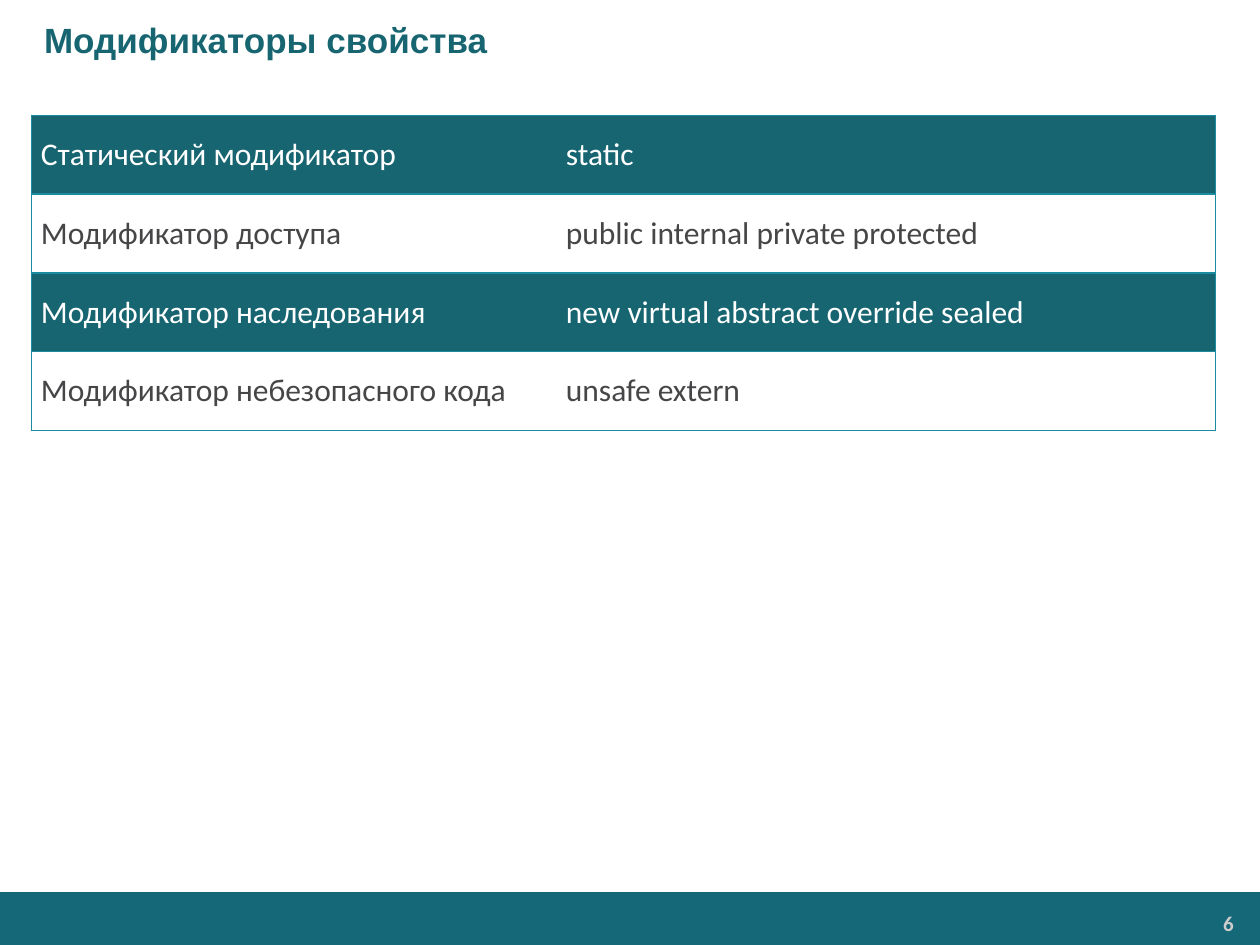
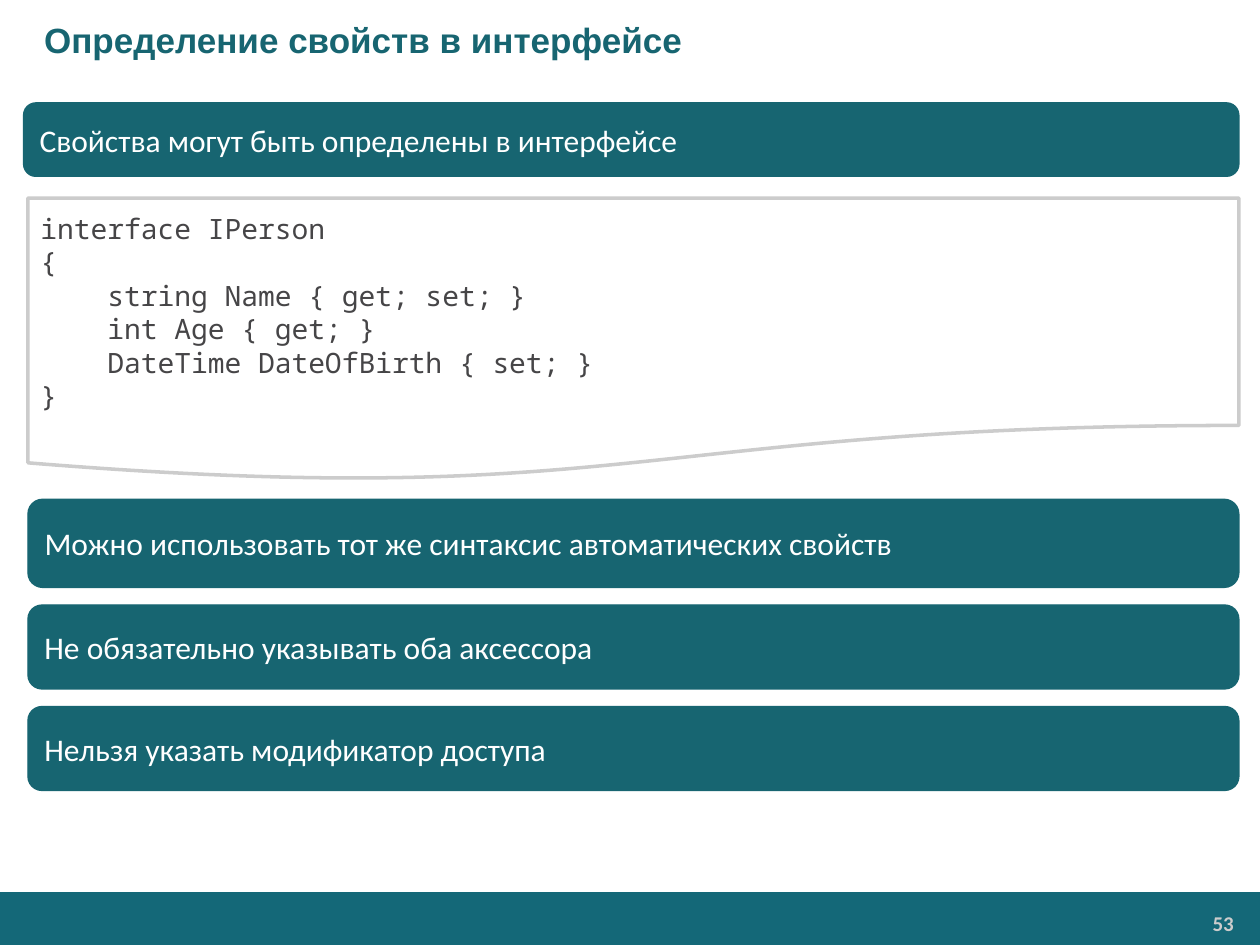
from dataclasses import dataclass

from lxml import etree
from pptx import Presentation
from pptx import util as u
from pptx.dml import color
from pptx.enum import shapes, text
from pptx.oxml import ns

# Content
MODIFIERS = {
    "title": "Модификаторы свойства",
    "page": "6",
    "rows": [
        ("Статический модификатор", "static"),
        ("Модификатор доступа", "public internal private protected"),
        ("Модификатор наследования", "new virtual abstract override sealed"),
        ("Модификатор небезопасного кода", "unsafe extern"),
    ],
}
INTERFACE = {
    "title": "Определение свойств в интерфейсе",
    "page": "53",
    "lead": "Свойства могут быть определены в интерфейсе",
    "code": [
        "interface IPerson",
        "{",
        "    string Name { get; set; }",
        "    int Age { get; }",
        "    DateTime DateOfBirth { set; }",
        "}",
    ],
    # statement, height of its bar, alignment
    "rules": [
        ("Можно использовать тот же синтаксис автоматических свойств", 50.4, "JUSTIFY"),
        ("Не обязательно указывать оба аксессора", 48, "LEFT"),
        ("Нельзя указать модификатор доступа", 48, "LEFT"),
    ],
}


@dataclass(frozen=True)
class Theme:
    teal: str = "176571"
    band: str = "146878"
    border: str = "1B8BA0"
    white: str = "FFFFFF"
    ink: str = "464547"
    grey: str = "CCCCCC"
    heading_font: str = "Arial"
    body_font: str = "Calibri"
    code_font: str = "Noto Sans Mono"
    title_size: int = 20
    body_size: int = 18
    code_size: int = 16
    page_size: int = 12


THEME = Theme()
WIDTH, HEIGHT = 720, 540
BODY = {"name": THEME.body_font, "size": THEME.body_size}


def rgb(value):
    return color.RGBColor.from_string(value)


def assign(target, formats):
    for attribute, value in formats.items():
        setattr(target, attribute, value)


def points(*lengths):
    return [u.Pt(length) for length in lengths]


def write(frame, lines, ink, font, align="LEFT", **frame_formats):
    defaults = {"word_wrap": True, "vertical_anchor": text.MSO_ANCHOR.MIDDLE}
    assign(frame, {**defaults, **frame_formats})
    for number, line in enumerate(lines):
        paragraph = frame.paragraphs[0] if number == 0 else frame.add_paragraph()
        paragraph.alignment = getattr(text.PP_ALIGN, align)
        run = paragraph.add_run()
        run.text = line
        assign(run.font, {**font, "size": u.Pt(font["size"])})
        run.font.color.rgb = rgb(ink)


def panel(slide, preset, box, fill, outline=None, weight=0.75):
    shape = slide.shapes.add_shape(preset, *points(*box))
    shape.shadow.inherit = False
    shape.fill.solid()
    shape.fill.fore_color.rgb = rgb(fill)
    if outline:
        shape.line.color.rgb = rgb(outline)
        shape.line.width = u.Pt(weight)
    else:
        shape.line.fill.background()
    return shape


def bar(slide, box, statement, align="JUSTIFY"):
    shape = panel(slide, shapes.MSO_SHAPE.ROUNDED_RECTANGLE, box, THEME.teal, THEME.teal)
    write(shape.text_frame, [statement], THEME.white, BODY, align)


def start_slide(deck, content):
    """Blank slide with the shared footer band, page number and title."""
    slide = deck.slides.add_slide(deck.slide_layouts[6])
    panel(slide, shapes.MSO_SHAPE.RECTANGLE, (0, 509.76, WIDTH, HEIGHT - 509.76), THEME.band)
    page = slide.shapes.add_textbox(*points(592.6, 517.7, 117.4, 20.2))
    write(page.text_frame, [content["page"]], THEME.grey,
          {"name": THEME.body_font, "size": THEME.page_size, "bold": True}, "RIGHT",
          vertical_anchor=text.MSO_ANCHOR.TOP,
          margin_left=u.Pt(5), margin_right=u.Pt(5),
          margin_top=u.Pt(2.9), margin_bottom=u.Pt(2.9))
    title = slide.shapes.add_textbox(*points(0, 0, WIDTH, 45.4))
    write(title.text_frame, [content["title"]], THEME.teal,
          {"name": THEME.heading_font, "size": THEME.title_size, "bold": True},
          margin_left=u.Pt(25.2))
    return slide


def set_borders(cell, hidden_side):
    """Rule every side of a cell except the one facing the other column."""
    properties = cell._tc.get_or_add_tcPr()
    for position, side in enumerate(("lnL", "lnR", "lnT", "lnB")):
        line = etree.Element(ns.qn(f"a:{side}"), w=str(u.Pt(1)))
        if side == hidden_side:
            etree.SubElement(line, ns.qn("a:noFill"))
        else:
            paint = etree.SubElement(line, ns.qn("a:solidFill"))
            etree.SubElement(paint, ns.qn("a:srgbClr"), val=THEME.border)
        properties.insert(position, line)


def build_modifiers(deck):
    slide = start_slide(deck, MODIFIERS)
    rows = MODIFIERS["rows"]
    widths, row_height = (300, 376.5), 45
    box = points(18, 66, sum(widths), row_height * len(rows))
    table = slide.shapes.add_table(len(rows), len(widths), *box).table
    assign(table, {"first_row": False, "horz_banding": False})
    for column, width in zip(table.columns, widths):
        column.width = u.Pt(width)

    # Rows alternate between teal and white
    looks = [(THEME.teal, THEME.white), (THEME.white, THEME.ink)]
    margins = {"margin_left": u.Pt(5.4), "margin_right": u.Pt(5.4),
               "margin_top": u.Pt(3.6), "margin_bottom": u.Pt(3.6),
               "vertical_anchor": text.MSO_ANCHOR.MIDDLE}
    for r, row in enumerate(rows):
        fill, ink = looks[r % 2]
        for c, wording in enumerate(row):
            cell = table.cell(r, c)
            assign(cell, margins)
            cell.fill.solid()
            cell.fill.fore_color.rgb = rgb(fill)
            set_borders(cell, ("lnR", "lnL")[c])
            write(cell.text_frame, [wording], ink, BODY,
                  word_wrap=None, vertical_anchor=None)


def build_interface(deck):
    slide = start_slide(deck, INTERFACE)
    left, right, gap = 16, 708, 10
    bar(slide, (13.5, 58.8, right - 13.5, 42), INTERFACE["lead"])

    # Code sheet
    sheet = panel(slide, shapes.MSO_SHAPE.FLOWCHART_DOCUMENT,
                  (left, 113.2, right - left, 162), THEME.white, THEME.grey, 2)
    write(sheet.text_frame, INTERFACE["code"], THEME.ink,
          {"name": THEME.code_font, "size": THEME.code_size})

    # Rules stacked with equal gaps
    top = 285.3
    for statement, height, align in INTERFACE["rules"]:
        bar(slide, (left, top, right - left, height), statement, align)
        top += height + gap


def main():
    deck = Presentation()
    assign(deck, {"slide_width": u.Pt(WIDTH), "slide_height": u.Pt(HEIGHT)})
    build_modifiers(deck)
    build_interface(deck)
    deck.save("out.pptx")


if __name__ == "__main__":
    main()
